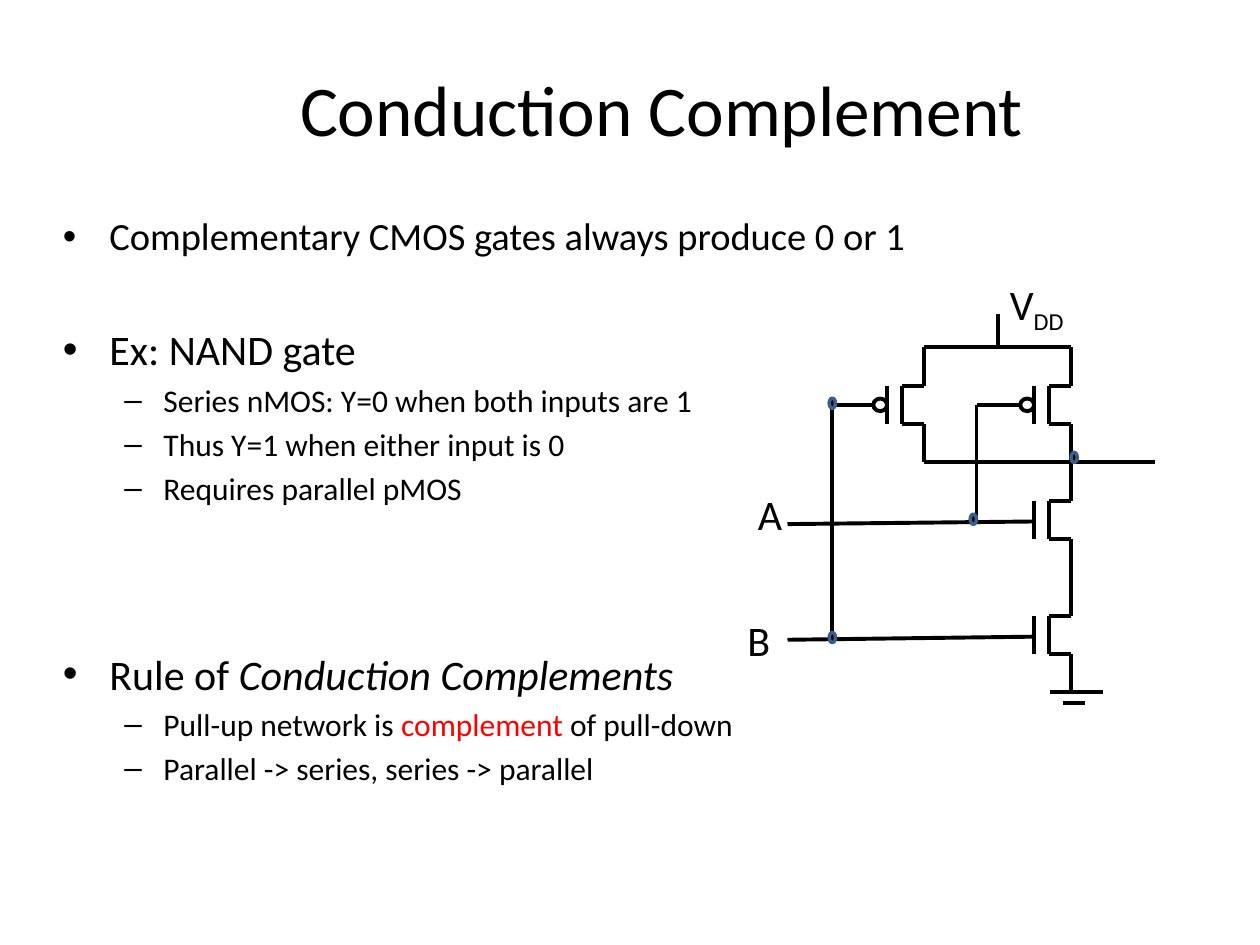
from lxml import etree
from pptx import Presentation
from pptx.dml.color import RGBColor
from pptx.enum.shapes import MSO_CONNECTOR, MSO_SHAPE
from pptx.enum.text import MSO_ANCHOR, MSO_AUTO_SIZE, PP_ALIGN
from pptx.oxml.ns import qn
from pptx.util import Pt

STRAIGHT = MSO_CONNECTOR.STRAIGHT
OVAL = MSO_SHAPE.OVAL
MIDDLE = MSO_ANCHOR.MIDDLE
NO_AUTOFIT = MSO_AUTO_SIZE.NONE
CENTER = PP_ALIGN.CENTER

BLACK = RGBColor(0x00, 0x00, 0x00)
WHITE = RGBColor(0xFF, 0xFF, 0xFF)
RED = RGBColor(0xFF, 0x00, 0x00)
DOT_OUTLINE = RGBColor(0x3A, 0x5F, 0x8B)
FONT = "Calibri"

# Circuit grid, in points
STEP = 21.9  # a transistor is three steps tall: lead, channel, lead
SUPPLY_Y = 198.5
OUTPUT_Y = SUPPLY_Y + 3 * STEP
SERIES_Y = OUTPUT_Y + 3 * STEP
GROUND_Y = SERIES_Y + 3 * STEP
LEFT_X, RIGHT_X = 528, 612
CHANNEL_OFFSET, GATE_OFFSET = 12.6, 21.2
BUBBLE_OFFSET, GATE_WIRE_OFFSET = 29, 54
INPUT_X, INPUT_END_X = 450, 592

# Level, size, space before, text pieces with their style
BULLETS = [
    (0, 22, 0, [("Complementary CMOS gates always produce 0 or 1", "")]),
    (0, 24, 36.8, [("Ex: NAND gate", "")]),
    (1, 18, 3.6, [("Series nMOS: Y=0 when both inputs are 1", "")]),
    (1, 18, 3.6, [("Thus Y=1 when either input is 0", "")]),
    (1, 18, 3.6, [("Requires parallel pMOS", "")]),
    (0, 24, 81, [("Rule of ", ""), ("Conduction Complements", "italic")]),
    (1, 18, 3.6, [("Pull-up network is ", ""), ("complement", "red"),
                  (" of pull-down", "")]),
    (1, 18, 3.6, [("Parallel -> series, series -> parallel", "")]),
]
# Bullet, left margin, hanging indent for each level
LEVELS = [("•", 27.4, 26.6), ("–", 58.3, 22.3)]


def format_font(font, size):
    font.name = FONT
    font.size = Pt(size)
    font.color.rgb = BLACK


def add_title(slide, text):
    title = slide.shapes.title
    title.left, title.top, title.width, title.height = Pt(72), Pt(41), Pt(612), Pt(51)
    frame = title.text_frame
    frame.text = text
    frame.auto_size = NO_AUTOFIT
    frame.vertical_anchor = MIDDLE
    paragraph = frame.paragraphs[0]
    paragraph.alignment = CENTER
    paragraph.line_spacing = 0.8
    format_font(paragraph.font, 40.7)


def add_text_box(slide, left, top, width, height):
    frame = slide.shapes.add_textbox(Pt(left), Pt(top), Pt(width), Pt(height)).text_frame
    frame.word_wrap = True
    return frame


def set_bullet(paragraph, level):
    character, margin, hanging = LEVELS[level]
    properties = paragraph._p.get_or_add_pPr()
    properties.set("marL", str(Pt(margin)))
    properties.set("indent", str(-Pt(hanging)))
    etree.SubElement(properties, qn("a:buFont")).set("typeface", "Arial")
    etree.SubElement(properties, qn("a:buChar")).set("char", character)


def add_bullets(slide):
    frame = add_text_box(slide, 28, 120.2, 638, 380)
    for index, (level, size, space, pieces) in enumerate(BULLETS):
        paragraph = frame.add_paragraph() if index else frame.paragraphs[0]
        paragraph.level = level
        paragraph.line_spacing = 1.0 if index else 0.93
        paragraph.space_before = Pt(space)
        set_bullet(paragraph, level)
        format_font(paragraph.font, size)
        for text, style in pieces:
            run = paragraph.add_run()
            run.text = text
            if style == "italic":
                run.font.italic = True
            elif style == "red":
                run.font.color.rgb = RED


def add_label(slide, left, top, text, subscript=""):
    paragraph = add_text_box(slide, left, top, 66, 36).paragraphs[0]
    format_font(paragraph.font, 24)
    paragraph.add_run().text = text
    if subscript:
        run = paragraph.add_run()
        run.text = subscript
        run.font._element.set("baseline", "-25000")


def add_wire(slide, x1, y1, x2, y2):
    wire = slide.shapes.add_connector(STRAIGHT, Pt(x1), Pt(y1), Pt(x2), Pt(y2))
    wire.line.color.rgb = BLACK
    wire.line.width = Pt(2.25)
    etree.SubElement(wire._element.spPr, qn("a:effectLst"))


def add_oval(slide, left, top, width, height, fill, outline, weight):
    oval = slide.shapes.add_shape(OVAL, Pt(left), Pt(top), Pt(width), Pt(height))
    oval.shadow.inherit = False
    oval.fill.solid()
    oval.fill.fore_color.rgb = fill
    oval.line.color.rgb = outline
    oval.line.width = Pt(weight)


def add_transistor(slide, x, top):
    """Draw gate plate, channel and both leads; x is that of the leads."""
    upper, lower, bottom = (top + STEP * count for count in (1, 2, 3))
    channel, gate = x - CHANNEL_OFFSET, x - GATE_OFFSET
    add_wire(slide, gate, upper, gate, lower)
    add_wire(slide, channel, upper, channel, lower)
    add_wire(slide, x, top, x, upper)
    add_wire(slide, x, lower, x, bottom)
    for y in (upper, lower):
        add_wire(slide, channel, y, x, y)


def add_pmos(slide, x):
    """Draw a transistor below the supply rail with an inverting gate."""
    add_transistor(slide, x, SUPPLY_Y)
    gate_y = SUPPLY_Y + 1.5 * STEP
    bubble = x - BUBBLE_OFFSET
    add_wire(slide, x - GATE_WIRE_OFFSET, gate_y, bubble, gate_y)
    add_oval(slide, bubble, gate_y - 3.6, 7.9, 7.2, WHITE, BLACK, 2.25)


def add_circuit(slide):
    for x in (LEFT_X, RIGHT_X):
        add_pmos(slide, x)
    for top in (OUTPUT_Y, SERIES_Y):
        add_transistor(slide, RIGHT_X, top)

    wires = [
        (570.2, 179.3, 570.2, SUPPLY_Y),
        (LEFT_X, SUPPLY_Y, RIGHT_X, SUPPLY_Y),
        (LEFT_X, OUTPUT_Y, 660, OUTPUT_Y),
        (INPUT_X, 299.5, INPUT_END_X, 298),
        (INPUT_X, 365.6, INPUT_END_X, 363.8),
        (558, 299.5, 558, 231.2),
        (475.2, 364.3, 475.2, 232.6),
        (599.8, GROUND_Y, 630, GROUND_Y),
        (607.7, 401.8, 620, 401.8),
    ]
    for wire in wires:
        add_wire(slide, *wire)

    for left, top in [(473.8, 227.5), (473.8, 361.4), (554.4, 293.8), (612, 258.5)]:
        add_oval(slide, left, top, 3.6, 5.8, BLACK, DOT_OUTLINE, 2)

    add_label(slide, 426, 275.8, "A")
    add_label(slide, 420, 347.8, "B")
    add_label(slide, 570, 155.5, "V", "DD")


def main():
    presentation = Presentation()
    presentation.slide_width, presentation.slide_height = Pt(720), Pt(540)
    slide = presentation.slides.add_slide(presentation.slide_layouts[5])
    add_title(slide, "Conduction Complement")
    add_bullets(slide)
    add_circuit(slide)
    presentation.save("out.pptx")


if __name__ == "__main__":
    main()
